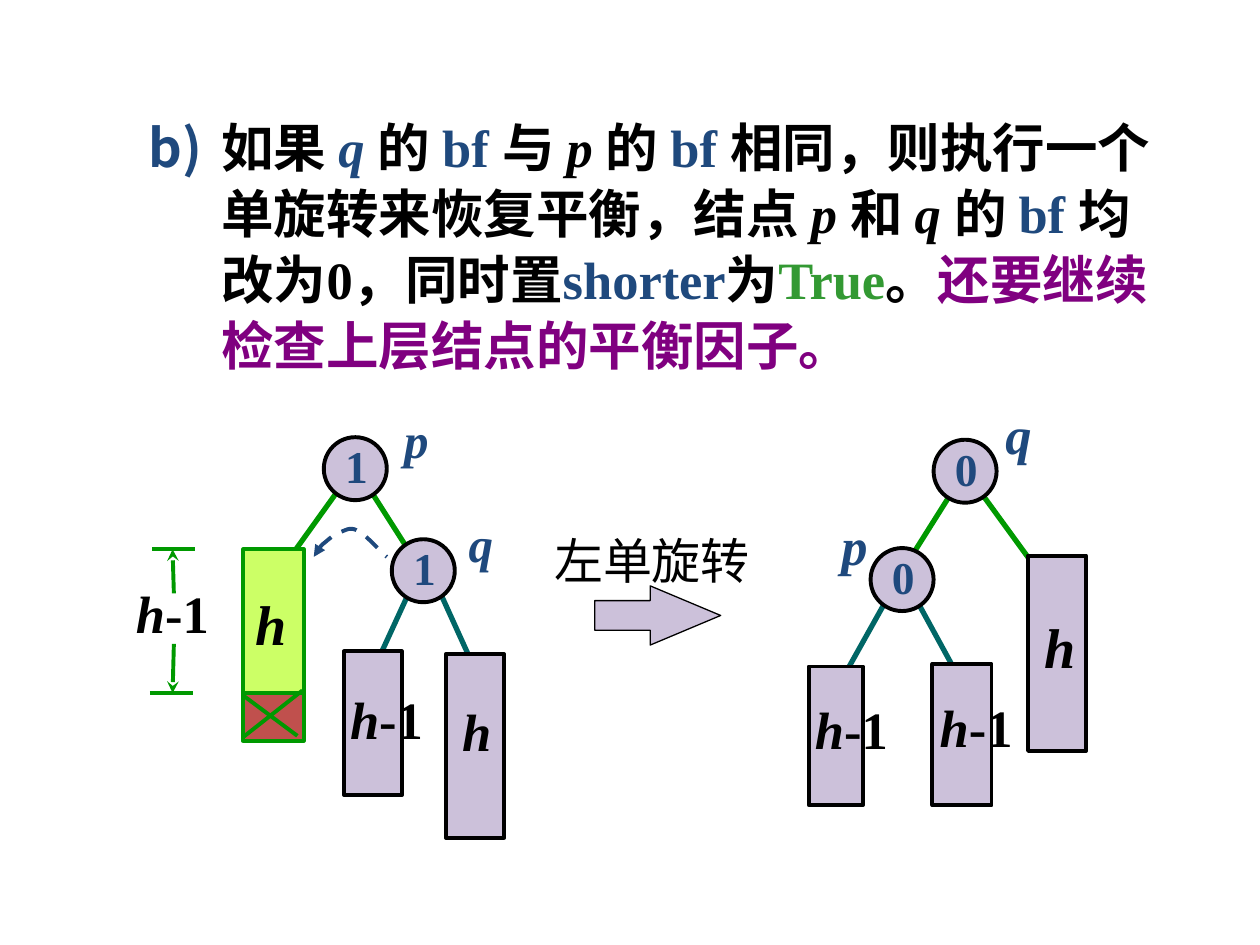
from dataclasses import dataclass
from typing import NamedTuple

from lxml import etree
from pptx import Presentation, util as u
from pptx.dml.color import RGBColor
from pptx.enum import dml, shapes, text
from pptx.oxml import ns


@dataclass(frozen=True)
class Theme:
    font: str = "Times New Roman"
    black: str = "000000"
    blue: str = "1F497D"
    green: str = "009900"
    teal: str = "006666"
    true_green: str = "339933"
    purple: str = "800080"
    lilac: str = "CCC1DA"
    lime: str = "CCFF66"
    red: str = "C0504D"
    body: int = 30
    name: int = 28
    node: int = 26
    tall: int = 32
    edge: float = 3
    outline: float = 2.25
    thin: float = 0.75


class Run(NamedTuple):
    words: str
    color: str
    italic: bool = False
    bold: bool = True


class Label(NamedTuple):
    left: float
    top: float
    width: float
    height: float
    runs: tuple
    size: int


class Box(NamedTuple):
    left: float
    top: float
    width: float
    height: float
    fill: str
    line: str


class Line(NamedTuple):
    start: tuple
    end: tuple
    color: str
    weight: float
    arrow: str = ""


class Node(NamedTuple):
    left: float
    top: float
    value: str


class Tree(NamedTuple):
    lines: tuple
    boxes: tuple
    marks: tuple
    nodes: tuple
    labels: tuple


THEME = Theme()
COLUMNS, ROWS = 100, 75
COLUMN, ROW = u.Inches(10) // COLUMNS, u.Inches(7.5) // ROWS
NODE_SIZE = 5


def cells(left: float, top: float, width: float, height: float) -> tuple:
    return tuple(u.Emu(round(value * step)) for value, step in
                 zip((left, top, width, height), (COLUMN, ROW, COLUMN, ROW)))


def add_runs(paragraph, runs: tuple, size: int) -> None:
    for item in runs:
        run = paragraph.add_run()
        run.text = item.words
        values = {"name": THEME.font, "size": u.Pt(size), "bold": item.bold, "italic": item.italic}
        for name, value in values.items():
            setattr(run.font, name, value)
        run.font.color.rgb = RGBColor.from_string(item.color)


def draw_label(canvas, label: Label, wrap: bool = True):
    shape = canvas.add_textbox(*cells(*label[:4]))
    shape.text_frame.word_wrap = wrap
    shape.text_frame.auto_size = text.MSO_AUTO_SIZE.SHAPE_TO_FIT_TEXT
    add_runs(shape.text_frame.paragraphs[0], label.runs, label.size)
    return shape


def set_line(line, color: str, weight: float) -> None:
    line.color.rgb = RGBColor.from_string(color)
    line.width = u.Pt(weight)


def add_arrowhead(shape, side: str, kind: str) -> None:
    outline = shape.line._get_or_add_ln()
    etree.SubElement(outline, ns.qn(f"a:{side}"), type=kind)


def draw_box(canvas, box: Box, kind=shapes.MSO_SHAPE.RECTANGLE, weight: float = THEME.outline):
    shape = canvas.add_shape(kind, *cells(*box[:4]))
    shape.shadow.inherit = False
    shape.fill.solid()
    shape.fill.fore_color.rgb = RGBColor.from_string(box.fill)
    set_line(shape.line, box.line, weight)
    return shape


def draw_line(canvas, line: Line) -> None:
    connector = canvas.add_connector(shapes.MSO_CONNECTOR.STRAIGHT, *cells(*line.start, *line.end))
    set_line(connector.line, line.color, line.weight)
    if line.arrow:
        add_arrowhead(connector, "tailEnd", line.arrow)
    etree.SubElement(connector._element.spPr, ns.qn("a:effectLst"))


def draw_node(canvas, node: Node) -> None:
    draw_box(canvas, Box(node.left, node.top, NODE_SIZE, NODE_SIZE, THEME.lilac, THEME.black),
             shapes.MSO_SHAPE.OVAL)
    draw_label(canvas, Label(node.left + 0.7, node.top - 0.4, 5.8, 5.3,
                             (Run(node.value, THEME.blue),), THEME.node))


def draw_tree(slide, tree: Tree) -> None:
    canvas = slide.shapes.add_group_shape().shapes
    for items, draw in ((tree.lines, draw_line), (tree.boxes, draw_box), (tree.marks, draw_line),
                        (tree.nodes, draw_node), (tree.labels, draw_label)):
        for item in items:
            draw(canvas, item)


def curve_points(start: tuple, curves: tuple, steps: int = 8) -> list:
    points = [start]
    for first, second, end in curves:
        for step in range(1, steps + 1):
            t = step / steps
            weights = ((1 - t) ** 3, 3 * t * (1 - t) ** 2, 3 * t * t * (1 - t), t ** 3)
            points.append(tuple(sum(weight * point[axis] for weight, point in
                                    zip(weights, (start, first, second, end))) for axis in (0, 1)))
        start = end
    return points


def draw_rotation(slide) -> None:
    curves = (((25.1, 43.9), (25.3, 43.5), (25.6, 43.2)),
              ((26, 42.9), (26.6, 42.3), (27.1, 42.2)),
              ((27.6, 42), (27.9, 41.8), (28.5, 42.2)),
              ((29.1, 42.5), (30.3, 43.9), (30.7, 44.2)))
    points = [(x * COLUMN, y * ROW) for x, y in curve_points((24.9, 44.2), curves)]
    builder = slide.shapes.build_freeform(*points[0])
    builder.add_line_segments(points[1:], close=False)
    shape = builder.convert_to_shape()
    shape.shadow.inherit = False
    shape.fill.background()
    set_line(shape.line, THEME.blue, THEME.outline)
    shape.line.dash_style = dml.MSO_LINE.DASH
    add_arrowhead(shape, "headEnd", "triangle")


def draw_statement(slide) -> None:
    black, blue = THEME.black, THEME.blue
    runs = (Run("如果 ", black), Run("q ", blue, True), Run("的 ", black), Run("bf ", blue),
            Run("与 ", black), Run("p ", black, True), Run("的 ", black), Run("bf ", blue),
            Run("相同，则执行一个单旋转来恢复平衡，结点 ", black), Run("p ", black, True),
            Run("和 ", black), Run("q ", black, True), Run("的 ", black), Run("bf ", blue),
            Run("均改为0，同时置", black), Run("shorter", blue), Run("为", black),
            Run("True", THEME.true_green), Run("。", black),
            Run("还要继续检查上层结点的平衡因子。", THEME.purple))
    shape = slide.shapes.add_textbox(*cells(5.8, 8.4, 88.3, 24.4))
    shape.text_frame.word_wrap = True
    paragraph = shape.text_frame.paragraphs[0]
    paragraph.line_spacing = 1.05
    properties = paragraph._p.get_or_add_pPr()
    for name, value in {"marL": u.Inches(1.08), "indent": u.Inches(-0.58)}.items():
        properties.set(name, str(value))
    color = etree.SubElement(properties, ns.qn("a:buClr"))
    etree.SubElement(color, ns.qn("a:srgbClr"), val=blue)
    etree.SubElement(properties, ns.qn("a:buAutoNum"), type="alphaLcParenR", startAt="2")
    add_runs(paragraph, runs, THEME.body)


def letter(name: str, left: float, top: float, size: int) -> Label:
    return Label(left, top, 5.2, 6, (Run(name, THEME.blue, True),), size)


def height(left: float, top: float, suffix: str = "", size: int = THEME.body) -> Label:
    runs = (Run("h", THEME.black, True),) + ((Run(suffix, THEME.black),) if suffix else ())
    return Label(left, top, 8.3 if suffix else 4.5, 6, runs, size)


def edge(start: tuple, end: tuple, color: str) -> Line:
    return Line(start, end, color, THEME.edge)


def mark(start: tuple, end: tuple, arrow: str = "") -> Line:
    return Line(start, end, THEME.green, THEME.outline, arrow)


def subtree(left: float, top: float, width: float, tall: float) -> Box:
    return Box(left, top, width, tall, THEME.lilac, THEME.black)


AFTER = Tree(
    lines=(edge((70.7, 47), (66.5, 54.5), THEME.teal), edge((72.4, 47), (76.5, 54.5), THEME.teal),
           edge((76.6, 37.4), (70.8, 46.6), THEME.green), edge((77.2, 38.2), (83.9, 47.4), THEME.green)),
    boxes=(subtree(64.2, 52.9, 4.3, 11), subtree(74, 52.7, 4.7, 11.2), subtree(81.6, 44.1, 4.6, 15.5)),
    marks=(),
    nodes=(Node(74.1, 34.9, "0"), Node(69.1, 43.5, "0")),
    labels=(height(73.6, 54.7, "-1"), height(63.7, 54.8, "-1"), height(81.9, 48.1, size=THEME.tall),
            letter("p", 65.8, 40.2, THEME.body), letter("q", 78.8, 31.4, THEME.body)))

BEFORE = Tree(
    lines=(edge((34.6, 46.3), (38, 53.8), THEME.teal), edge((33.3, 45.2), (29.9, 52.6), THEME.teal),
           edge((28.3, 37.2), (34.1, 46.3), THEME.green), edge((27.5, 38), (20.9, 47.2), THEME.green)),
    boxes=(Box(19.3, 43.6, 4.8, 15, THEME.lime, THEME.green), subtree(27.3, 51.7, 4.6, 11.4),
           Box(19.3, 55, 4.8, 3.8, THEME.red, THEME.green), subtree(35.4, 51.9, 4.6, 14.6)),
    marks=(mark((24, 54.8), (19.3, 58.5)), mark((19.3, 55.2), (23.6, 58.4)),
           mark((13.8, 51.1), (13.7, 55), "stealth"), mark((11.9, 55), (15.3, 55)),
           mark((12.1, 43.6), (15.5, 43.6)), mark((13.8, 47.1), (13.7, 43.6), "stealth")),
    nodes=(Node(25.7, 34.7, "1"), Node(31.1, 42.8, "1")),
    labels=(height(19.3, 46.3, size=THEME.tall), height(26.8, 54, "-1"), height(9.8, 45.6, "-1"),
            height(35.7, 55), letter("p", 31.1, 32, THEME.name), letter("q", 36.2, 40.3, THEME.name)))


def main() -> None:
    presentation = Presentation()
    presentation.slide_width, presentation.slide_height = COLUMN * COLUMNS, ROW * ROWS
    slide = presentation.slides.add_slide(presentation.slide_layouts[6])
    draw_statement(slide)
    draw_label(slide.shapes, Label(43, 41.6, 17.6, 5.7, (Run("左单旋转", THEME.black, bold=False),),
                                   THEME.name), wrap=False)
    draw_tree(slide, AFTER)
    draw_rotation(slide)
    draw_tree(slide, BEFORE)
    arrow = draw_box(slide.shapes, Box(47.2, 46.5, 10, 4.7, THEME.lilac, THEME.black),
                     shapes.MSO_SHAPE.RIGHT_ARROW, THEME.thin)
    arrow.adjustments[1] = 1.19
    presentation.save("out.pptx")


if __name__ == "__main__":
    main()
